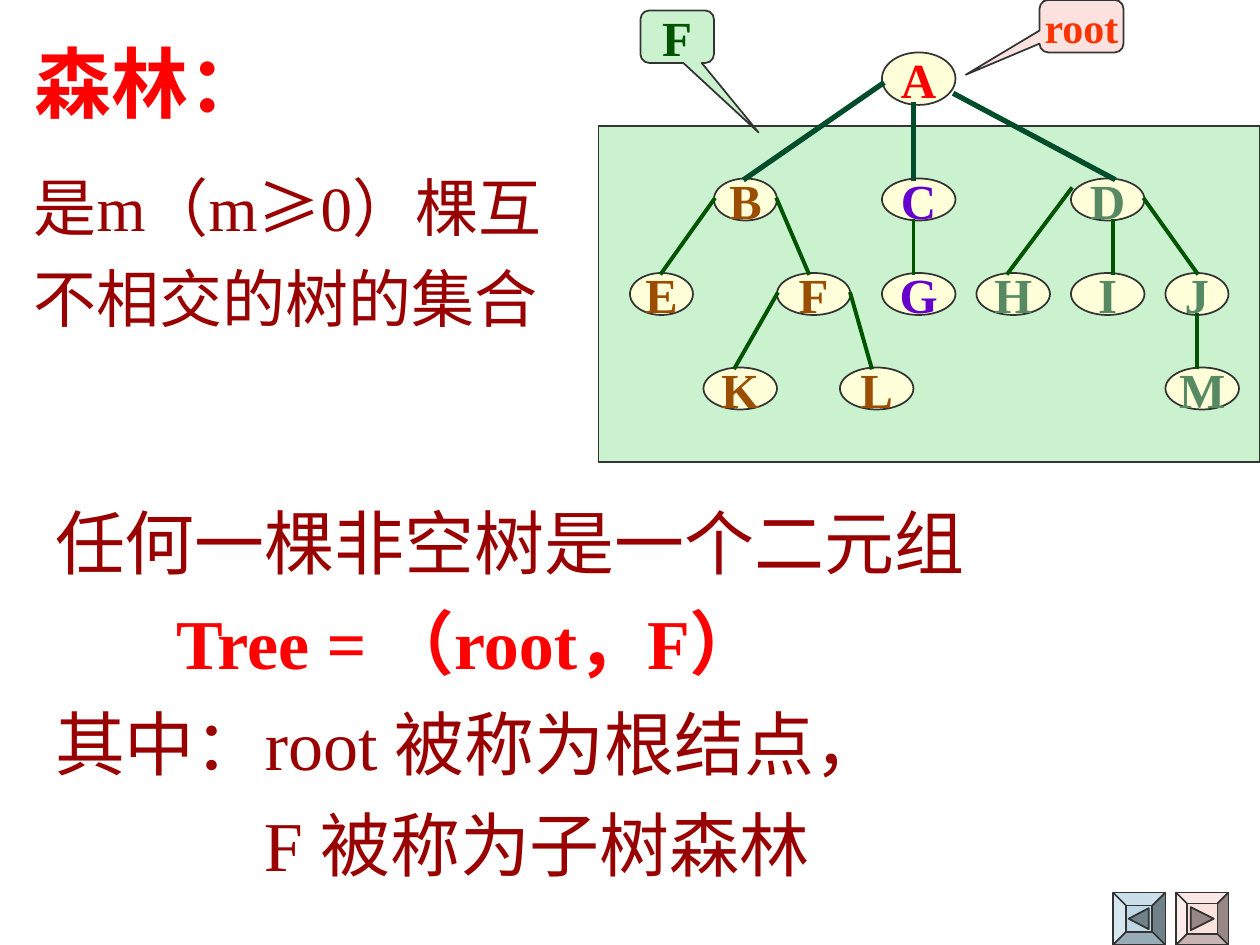
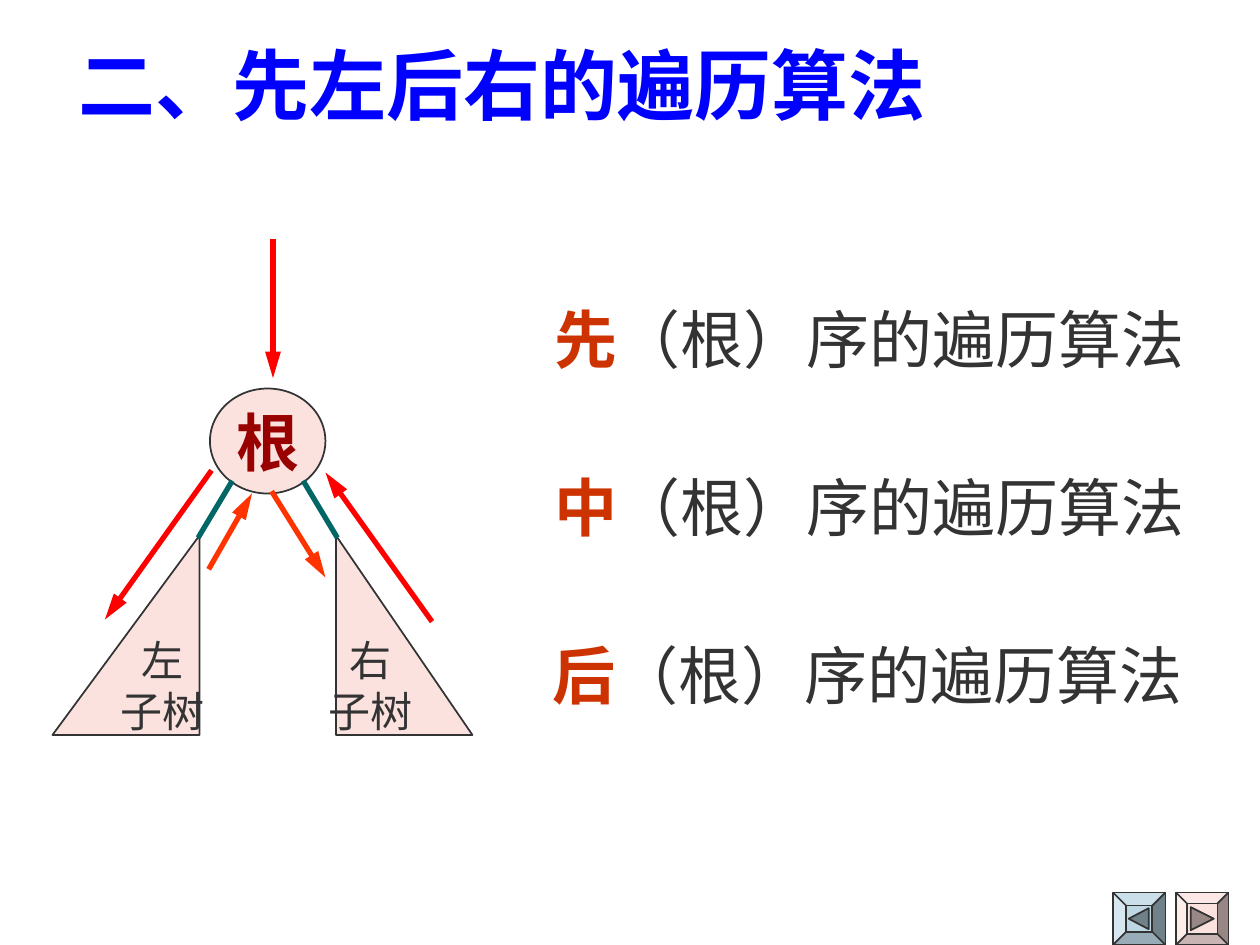
from lxml import etree
from pptx import Presentation
from pptx.dml.color import RGBColor
from pptx.enum.shapes import MSO_CONNECTOR, MSO_SHAPE as Preset
from pptx.enum.text import MSO_ANCHOR, MSO_AUTO_SIZE, PP_ALIGN
from pptx.oxml.ns import qn
from pptx.util import Cm, Pt

LATIN = "Times New Roman"
CJK = "Noto Sans CJK SC"
INK, RED, MAROON, BLUE = "333333", "FF0000", "990000", "0000FF"
PINK, MINT, CREAM, SKY = "FBE2DF", "CAF2CE", "FFFFD9", "BDD7E5"
BROWN, PURPLE, SAGE = "9C4E00", "6600CC", "578963"
FOREST, PINE, TEAL = "005400", "004C2B", "006666"
ORANGE, RUST = "FF3300", "CC3300"

# Diagram places are counted in grid steps, 120 across and 90 down the slide.
STEP = 2.54 / 12

# Navigation buttons: left, colour, arrow colour, bevel share, arrow points
NAV_TOP, NAV_SIZE = 85, 5
NAV_BUTTONS = [
    (106, SKY, "71818A", 0.25, [(107.5, 87.5), (109.4, 86.5), (109.4, 88.5)]),
    (112, PINK, "978886", 0.21, [(113.4, 86.4), (115.6, 87.5), (113.4, 88.6)]),
]

# Tree nodes: name, left, width, colour, listed level by level
ROOT_NODE = ("A", (84, 5, 7, 5), RED)
LEVELS = [
    [("B", 68, 6, BROWN), ("C", 84, 7, PURPLE), ("D", 102, 7, SAGE)],
    [("E", 60, 6, BROWN), ("F", 74, 7, BROWN), ("G", 84, 7, PURPLE),
     ("H", 93, 7, SAGE), ("I", 102, 7, SAGE), ("J", 111, 6, SAGE)],
    [("K", 67, 7, BROWN), ("L", 80, 7, BROWN), ("M", 111, 7, SAGE)],
]
FIRST_LEVEL_TOP, LEVEL_STEP, NODE_HEIGHT = 17, 9, 4
FOREST_BOX = (57, 12, 63, 32)
SUBTREE_EDGES = [
    (68, 19, 63, 26), (74, 19, 77, 26), (74, 28, 70, 35),
    (81, 28, 83, 35), (87, 21, 87, 26), (102, 18, 96, 26),
    (106, 21, 106, 26), (109, 19, 114, 26), (114, 30, 114, 35),
]
ROOT_EDGES = [(84, 8, 71, 17), (87, 10, 87, 17), (91, 9, 106, 17)]
# Callouts: text, place, fill, text colour, size, pointer adjustments
CALLOUTS = [
    ("root", (99, 0, 8, 5), PINK, ORANGE, 24, (-1.378, 0.925, 0.167)),
    ("F", (61, 1, 7, 5), MINT, FOREST, 28, (1.107, 1.825, 0.167)),
]

# A paragraph is its runs and its indent in cm; a run is text, size, colour, bold, font
FOREST_TITLE = [([("森林：", 44, RED, True, LATIN)], 0)]
FOREST_DEFINITION = [
    ([("是m（m", 36, MAROON, False, LATIN), ("≥", 36, MAROON, False, CJK),
      ("0）棵互", 36, MAROON, False, LATIN)], 0),
    ([("不相交的树的集合", 36, MAROON, False, LATIN)], 0),
]
TREE_DEFINITION = [
    ([(text, 40, colour, bold, LATIN)], indent)
    for text, colour, bold, indent in [
        ("任何一棵非空树是一个二元组", MAROON, False, 0),
        ("Tree = （root，F）", RED, True, 2.44),
        ("其中：root 被称为根结点，", MAROON, False, 0),
        ("F 被称为子树森林", MAROON, False, 4.21),
    ]
]

TRAVERSAL_TITLE = [([("二、先左后右的遍历算法", 44, BLUE, True, LATIN)], 0)]
# Traversal orders: first character, left in cm
ORDERS = [("先", 10.92), ("中", 10.92), ("后", 10.89)]
ORDER_TOP, ORDER_STEP = 5.93, 3.39
# Subtrees: side, place, apex position
SUBTREES = [("左", (5, 51, 14, 19), 1), ("右", (32, 51, 13, 19), 0)]
BRANCHES = [(22, 46, 19, 51), (29, 46, 32, 51)]
OUTER_ARROWS = [(26, 23, 26, 36), (20, 45, 10, 59), (41, 59, 31, 45)]
INNER_ARROWS = [(20, 54, 24, 47), (26, 47, 31, 55)]


def rgb(colour):
    return RGBColor.from_string(colour)


def grid(*steps):
    return [Cm(step * STEP) for step in steps]


def style_run(run, size, colour, bold, font=LATIN):
    run.font.name, run.font.size, run.font.bold = font, Pt(size), bold
    run.font.color.rgb = rgb(colour)


def paint(shape, fill, line=INK):
    shape.shadow.inherit = False
    shape.fill.solid()
    shape.fill.fore_color.rgb = rgb(fill)
    shape.line.color.rgb = rgb(line)
    shape.line.width = Pt(1)


def add_text(slide, place, paragraphs, line_spacing=None, wrap=False):
    """Add a text box at place, given in cm."""
    frame = slide.shapes.add_textbox(*map(Cm, place)).text_frame
    frame.word_wrap = wrap
    frame.auto_size = MSO_AUTO_SIZE.SHAPE_TO_FIT_TEXT
    for index, (runs, indent) in enumerate(paragraphs):
        paragraph = frame.add_paragraph() if index else frame.paragraphs[0]
        if indent:
            properties = paragraph._p.get_or_add_pPr()
            properties.set("marL", str(Cm(indent)))
            properties.set("indent", "0")
        if line_spacing:
            paragraph.line_spacing = line_spacing
        for text, *style in runs:
            run = paragraph.add_run()
            run.text = text
            style_run(run, *style)


def add_shape(slide, preset, place, fill, adjustments=(), text="",
              size=28, colour=INK, bold=True):
    """Add a preset shape at a grid place, with centred text if there is any."""
    shape = slide.shapes.add_shape(preset, *grid(*place))
    paint(shape, fill)
    for index, value in enumerate(adjustments):
        shape.adjustments[index] = value
    if text:
        frame = shape.text_frame
        frame.text = text
        frame.word_wrap = False
        frame.vertical_anchor = MSO_ANCHOR.MIDDLE
        for paragraph in frame.paragraphs:
            paragraph.alignment = PP_ALIGN.CENTER
            for run in paragraph.runs:
                style_run(run, size, colour, bold)


def add_lines(slide, lines, colour, width, arrow=False):
    """Add square-capped lines, with a long arrowhead at the end if asked."""
    for ends in lines:
        connector = slide.shapes.add_connector(MSO_CONNECTOR.STRAIGHT, *grid(*ends))
        connector.line.color.rgb = rgb(colour)
        connector.line.width = Pt(width)
        line = connector.line._get_or_add_ln()
        line.set("cap", "sq")
        if arrow:
            etree.SubElement(line, qn("a:tailEnd"), type="triangle", len="lg")
        etree.SubElement(connector._element.spPr, qn("a:effectLst"))


def add_slide(presentation):
    """Add a blank slide with the navigation buttons."""
    slide = presentation.slides.add_slide(presentation.slide_layouts[6])
    for left, fill, arrow_fill, bevel, points in NAV_BUTTONS:
        place = (left, NAV_TOP, NAV_SIZE, NAV_SIZE)
        add_shape(slide, Preset.BEVEL, place, fill, [bevel])
        start, *others = [grid(*point) for point in points]
        builder = slide.shapes.build_freeform(*start)
        builder.add_line_segments(others, close=True)
        paint(builder.convert_to_shape(), arrow_fill)
    return slide


def build_forest_slide(presentation):
    slide = add_slide(presentation)
    add_text(slide, (0.86, 9.6, 19, 8.38), TREE_DEFINITION, 1.2, wrap=True)
    add_text(slide, (0.44, 0.22, 5.16, 2.49), FOREST_TITLE, 1.2)
    add_text(slide, (0.43, 2.97, 12.07, 3.91), FOREST_DEFINITION, 1.2, wrap=True)
    add_shape(slide, Preset.RECTANGLE, FOREST_BOX, MINT)
    nodes = [ROOT_NODE]
    for depth, level in enumerate(LEVELS):
        top = FIRST_LEVEL_TOP + depth * LEVEL_STEP
        nodes += [(name, (left, top, width, NODE_HEIGHT), colour)
                  for name, left, width, colour in level]
    for name, place, colour in nodes:
        add_shape(slide, Preset.OVAL, place, CREAM, text=name, colour=colour)
    for text, place, fill, colour, size, pointer in CALLOUTS:
        add_shape(slide, Preset.ROUNDED_RECTANGULAR_CALLOUT, place, fill,
                  pointer, text, size, colour)
    add_lines(slide, SUBTREE_EDGES, FOREST, 2.25)
    add_lines(slide, ROOT_EDGES, PINE, 3)


def build_traversal_slide(presentation):
    slide = add_slide(presentation)
    add_text(slide, (1.33, 0.64, 17.6, 2.13), TRAVERSAL_TITLE)
    for index, (order, left) in enumerate(ORDERS):
        runs = [(order, 36, RUST, True), ("（根）序的遍历算法", 36, INK, False)]
        top = ORDER_TOP + index * ORDER_STEP
        add_text(slide, (left, top, 13.21, 1.78), [(runs, 0)])
    add_shape(slide, Preset.OVAL, (20, 37, 11, 10), PINK,
              text="根", size=36, colour=MAROON)
    for side, place, apex in SUBTREES:
        add_shape(slide, Preset.ISOSCELES_TRIANGLE, place, PINK, [apex],
                  f"{side}\n子树", size=24, bold=False)
    add_lines(slide, BRANCHES, TEAL, 3)
    add_lines(slide, OUTER_ARROWS, RED, 3, arrow=True)
    add_lines(slide, INNER_ARROWS, ORANGE, 3, arrow=True)


def main():
    presentation = Presentation()
    presentation.slide_width, presentation.slide_height = Cm(25.4), Cm(19.05)
    build_forest_slide(presentation)
    build_traversal_slide(presentation)
    presentation.save("out.pptx")


if __name__ == "__main__":
    main()
